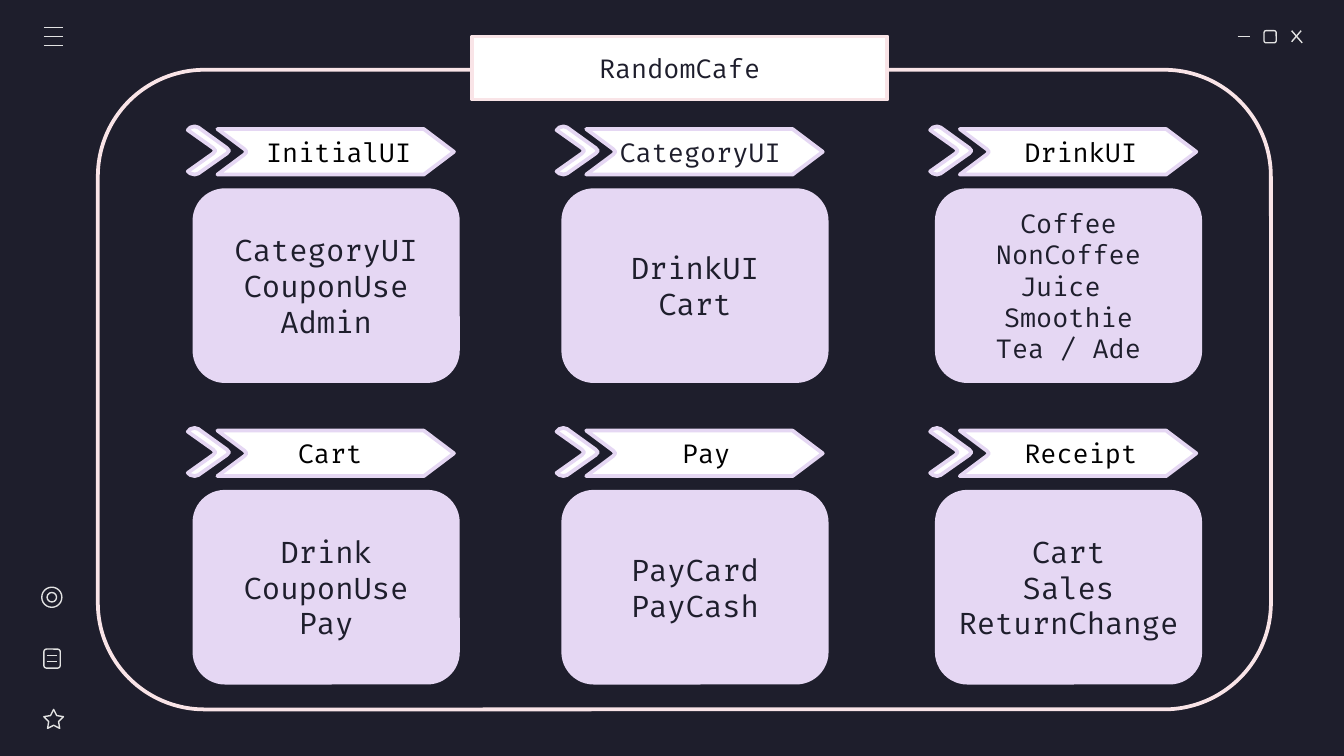
from lxml.etree import SubElement
from pptx import Presentation
from pptx.dml.color import RGBColor
from pptx.enum.shapes import MSO_CONNECTOR, MSO_SHAPE as Preset
from pptx.enum.text import MSO_ANCHOR, MSO_AUTO_SIZE, PP_ALIGN as Align
from pptx.oxml.ns import qn
from pptx.util import Cm, Pt

NAVY = RGBColor(0x1E, 0x1E, 0x2C)
GREY = RGBColor(0xE2, 0xE2, 0xE2)
PINK = RGBColor(0xF9, 0xE4, 0xE7)
LILAC = RGBColor(0xE5, 0xD7, 0xF3)
WHITE = RGBColor(0xFF, 0xFF, 0xFF)
BLACK = RGBColor(0x00, 0x00, 0x00)


def paint(shape, fill, line, width=2):
    if fill is None:
        shape.fill.background()
    else:
        shape.fill.solid()
        shape.fill.fore_color.rgb = fill
    if line is None:
        shape.line.fill.background()
    else:
        shape.line.color.rgb = line
        shape.line.width = Pt(width)
    shape.shadow.inherit = False


def write(shape, text, size, color, alignment=Align.CENTER):
    frame = shape.text_frame
    frame.text = text
    frame.vertical_anchor = MSO_ANCHOR.MIDDLE
    for paragraph in frame.paragraphs:
        paragraph.alignment = alignment
        for run in paragraph.runs:
            run.font.name = "Fira Code"
            run.font.size = Pt(size)
            run.font.color.rgb = color


presentation = Presentation()
presentation.slide_width = Cm(25.4)
presentation.slide_height = Cm(14.29)
slide = presentation.slides.add_slide(presentation.slide_layouts[5])
slide.background.fill.solid()
slide.background.fill.fore_color.rgb = NAVY
shapes = slide.shapes

frame_border = shapes.add_shape(Preset.ROUNDED_RECTANGLE, Cm(1.85), Cm(1.32), Cm(22.17), Cm(12.09))
paint(frame_border, NAVY, PINK)

icon_lines = [
    (23.39, 0.69, 23.62, 0.69),
    (24.41, 0.58, 24.61, 0.81),
    (24.59, 0.58, 24.41, 0.79),
    (0.83, 0.52, 1.2, 0.52),
    (0.83, 0.69, 1.2, 0.69),
    (0.83, 0.86, 1.2, 0.86),
    (0.88, 12.39, 1.08, 12.39),
    (0.88, 12.5, 1.08, 12.5),
]
for ends in icon_lines:
    connector = shapes.add_connector(MSO_CONNECTOR.STRAIGHT, *[Cm(value) for value in ends])
    connector.line.color.rgb = GREY
    connector.line.width = Pt(0.75)
    SubElement(connector._element.spPr, qn("a:effectLst"))

icon_shapes = [
    (Preset.ROUNDED_RECTANGLE, 23.89, 0.58, 0.23, 0.23),
    (Preset.ROUNDED_RECTANGLE, 0.83, 12.27, 0.31, 0.36),
    (Preset.OVAL, 0.79, 11.1, 0.38, 0.38),
    (Preset.OVAL, 0.89, 11.2, 0.18, 0.18),
    (Preset.STAR_5_POINT, 0.83, 13.41, 0.37, 0.36),
]
for preset, *box in icon_shapes:
    icon = shapes.add_shape(preset, *[Cm(value) for value in box])
    paint(icon, None, GREY, 0.75)
    if preset == Preset.STAR_5_POINT:
        icon.adjustments[0] = 0.254

title = shapes.title
title.left, title.top, title.width, title.height = Cm(8.92), Cm(0.69), Cm(7.85), Cm(1.19)
SubElement(title._element.spPr, qn("a:prstGeom"), prst="ellipse")
paint(title, WHITE, PINK)
write(title, "RandomCafe", 14, NAVY)
title.text_frame.auto_size = MSO_AUTO_SIZE.NONE
shapes._spTree.append(title._element)

chevron_points = [
    (0.13, 0), (0.05, 0.02), (0, 0.07), (0.48, 0.41), (0.52, 0.46), (0.48, 0.51), (0, 0.85),
    (0.05, 0.89), (0.13, 0.91), (0.2, 0.89), (0.74, 0.51), (0.78, 0.46), (0.74, 0.41), (0.2, 0.02),
]
banner_points = [
    (0.56, 0.05), (1.07, 0.43), (1.11, 0.48), (1.07, 0.53),
    (0.56, 0.91), (4.46, 0.91), (5.03, 0.48), (4.46, 0.05),
]
column_lefts = [3.55, 10.52, 17.58]
row_tops = [2.39, 8.09]
cards = [
    ("InitialUI", 0.92, BLACK, 16, ["CategoryUI", "CouponUse", "Admin"]),
    ("CategoryUI", 0.63, NAVY, 16, ["DrinkUI", "Cart"]),
    ("DrinkUI", 1.22, BLACK, 14, ["Coffee", "NonCoffee", "Juice ", "Smoothie", "Tea / Ade"]),
    ("Cart", 1.52, BLACK, 16, ["Drink", "CouponUse", "Pay"]),
    ("Pay", 1.81, BLACK, 16, ["PayCard", "PayCash"]),
    ("Receipt", 1.22, BLACK, 16, ["Cart", "Sales", "ReturnChange"]),
]
for index, (heading, indent, color, size, entries) in enumerate(cards):
    row, column = divmod(index, len(column_lefts))
    left, top = column_lefts[column], row_tops[row]

    for outline in (chevron_points, banner_points):
        points = [(Cm(left + x), Cm(top + y)) for x, y in outline]
        builder = shapes.build_freeform(*points[0])
        builder.add_line_segments(points[1:], close=True)
        banner = builder.convert_to_shape()
        paint(banner, WHITE, LILAC)
    write(banner, heading, 14, color, Align.LEFT)
    banner.text_frame.margin_left = Cm(indent)

    card = shapes.add_shape(Preset.ROUNDED_RECTANGLE, Cm(left + 0.09), Cm(top + 1.17), Cm(5.05), Cm(3.68))
    paint(card, LILAC, None)
    write(card, "\n".join(entries), size, NAVY)

presentation.save("out.pptx")
